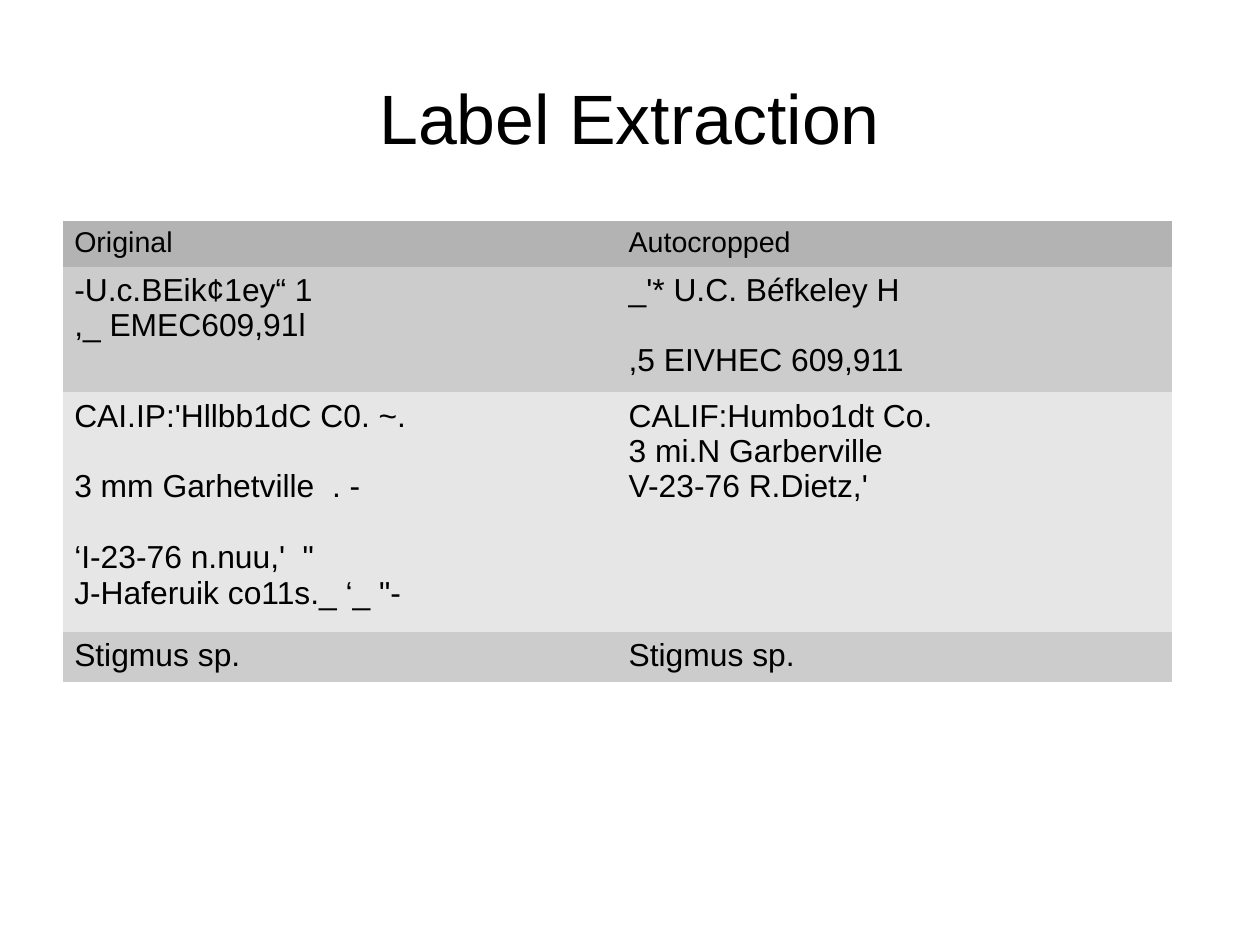
import pptx
import pptx.dml.color
import pptx.enum.text
import pptx.util

Cm = pptx.util.Cm
Pt = pptx.util.Pt

FONT = "Arial"
LINE_GAP = 22.3
COLUMN_WIDTH = 12.32
ROWS = [
    (1.02, "B3B3B3", 18, ["Original"], ["Autocropped"]),
    (2.8, "CCCCCC", 20,
     ["-U.c.BEik¢1ey“ 1", ",_ EMEC609,91l"],
     ["_'* U.C. Béfkeley H", (",5 EIVHEC 609,911", LINE_GAP)]),
    (5.33, "E6E6E6", 20,
     ["CAI.IP:'Hllbb1dC C0. ~.",
      ("3 mm Garhetville  . -", LINE_GAP),
      ("‘I-23-76 n.nuu,'  \"", LINE_GAP),
      "J-Haferuik co11s._ ‘_ \"-"],
     ["CALIF:Humbo1dt Co.", "3 mi.N Garberville", "V-23-76 R.Dietz,'"]),
    (1.11, "CCCCCC", 20, ["Stigmus sp."], ["Stigmus sp."]),
]


def color(hex_value):
    return pptx.dml.color.RGBColor.from_string(hex_value)


def write_lines(frame, lines, size):
    for index, line in enumerate(lines):
        text, gap = line if isinstance(line, tuple) else (line, 0)
        paragraph = frame.add_paragraph() if index else frame.paragraphs[0]
        paragraph.text = text
        paragraph.space_before = Pt(gap)
        paragraph.font.name = FONT
        paragraph.font.size = Pt(size)
        paragraph.font.color.rgb = color("000000")


def add_title(slide, left, top, width, height):
    shape = slide.shapes.add_textbox(Cm(left), Cm(top), Cm(width), Cm(height))
    frame = shape.text_frame
    frame.word_wrap = True
    frame.vertical_anchor = pptx.enum.text.MSO_ANCHOR.MIDDLE
    frame.margin_left = frame.margin_right = 0
    frame.margin_top = frame.margin_bottom = 0
    write_lines(frame, ["Label Extraction"], 44)
    frame.paragraphs[0].alignment = pptx.enum.text.PP_ALIGN.CENTER


def add_comparison(slide, left, top):
    height = sum(row[0] for row in ROWS)
    table = slide.shapes.add_table(
        len(ROWS), 2, Cm(left), Cm(top), Cm(2 * COLUMN_WIDTH), Cm(height)
    ).table
    for column in table.columns:
        column.width = Cm(COLUMN_WIDTH)
    for row_index, (row_height, fill, size, *texts) in enumerate(ROWS):
        table.rows[row_index].height = Cm(row_height)
        for column_index, lines in enumerate(texts):
            cell = table.cell(row_index, column_index)
            cell.fill.solid()
            cell.fill.fore_color.rgb = color(fill)
            cell.margin_left = cell.margin_right = Cm(0.25)
            cell.margin_top = cell.margin_bottom = Cm(0.13)
            write_lines(cell.text_frame, lines, size)
            for paragraph in cell.text_frame.paragraphs:
                paragraph.font.bold = False
    table.first_row = False
    table.horz_banding = False
    clear_style(table)


def clear_style(table):
    properties = table._tbl.tblPr
    for style in list(properties):
        style.text = "{2D5ABB26-0587-4C30-8999-92F81FD0307C}"


def main():
    presentation = pptx.Presentation()
    presentation.slide_width = Cm(28)
    presentation.slide_height = Cm(21)
    slide = presentation.slides.add_slide(presentation.slide_layouts[6])
    add_title(slide, 1.4, 0.84, 25.2, 3.5)
    add_comparison(slide, 1.4, 4.9)
    presentation.save("out.pptx")


if __name__ == "__main__":
    main()
